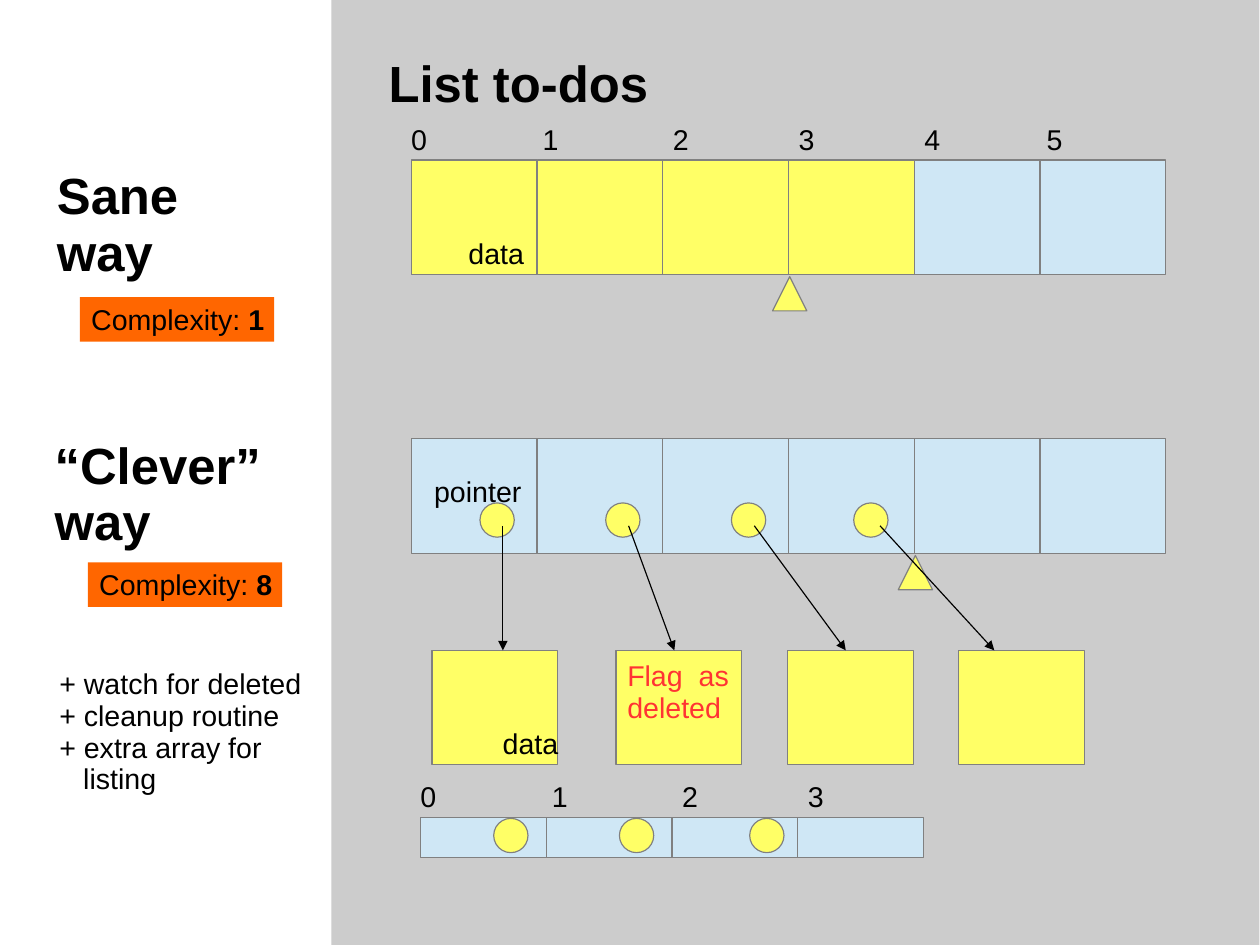
from lxml import etree
from pptx import Presentation
from pptx.dml.color import RGBColor
from pptx.enum import shapes, text
from pptx.oxml.ns import qn
from pptx.util import Emu, Inches, Pt

SLIDE_W, SLIDE_H = Emu(10080625), Emu(7559675)
YELLOW, BLUE, ORANGE, PANEL = "FFFF66", "CFE7F5", "FF6600", "CCCCCC"
OUTLINE, BLACK, RED = "808080", "000000", "FF3333"
CELL_W, CELL_H, DOT = 1.1, 1, 0.3
INDEX_X = [3.5, 4.65, 5.79, 6.89, 7.99, 9.06]
RECT = shapes.MSO_SHAPE.RECTANGLE
OVAL = shapes.MSO_SHAPE.OVAL
TRIANGLE = shapes.MSO_SHAPE.ISOSCELES_TRIANGLE


def rgb(value):
    return RGBColor.from_string(value)


def add_box(s, kind, x, y, w, h, fill, line=OUTLINE):
    sp = s.shapes.add_shape(kind, Inches(x), Inches(y), Inches(w), Inches(h))
    sp.shadow.inherit = False
    sp.fill.solid()
    sp.fill.fore_color.rgb = rgb(fill)
    if line:
        sp.line.color.rgb = rgb(line)
        sp.line.width = Pt(0.75)
    else:
        sp.line.fill.background()
    return sp


def set_text(sp, lines, size=18, bold=False, color=BLACK, wrap=False):
    tf = sp.text_frame
    tf.word_wrap = wrap
    tf.auto_size = text.MSO_AUTO_SIZE.NONE
    tf.vertical_anchor = text.MSO_ANCHOR.TOP
    tf.margin_left = tf.margin_right = Inches(0.1)
    tf.margin_top = Inches(0.08 if size > 18 else 0.07)
    tf.margin_bottom = Inches(0.05)
    tf.text = "\n".join(lines)
    for p in tf.paragraphs:
        p.alignment = text.PP_ALIGN.LEFT
        p.line_spacing = 0.93
        p.font.name = "Arial"
        p.font.size = Pt(size)
        p.font.bold = bold
        p.font.color.rgb = rgb(color)
    return tf


def add_label(s, x, y, w, h, lines, **style):
    sp = s.shapes.add_textbox(Inches(x), Inches(y), Inches(w), Inches(h))
    return set_text(sp, lines, **style)


def add_title(s, title, x, y, w, h):
    sp = s.shapes.title
    sp.left, sp.top, sp.width, sp.height = map(Inches, (x, y, w, h))
    set_text(sp, [title], size=32, bold=True)
    # Bring the title in front of the panel
    sp.element.getparent().append(sp.element)


def add_array(s, x, y, fills, h=CELL_H):
    for i, fill in enumerate(fills):
        add_box(s, RECT, x + i * CELL_W, y, CELL_W, h, fill)


def add_indexes(s, y, count, shift=0):
    for i, x in enumerate(INDEX_X[:count]):
        add_label(s, x + shift, y, 0.34, 0.38, [str(i)], wrap=True)


def add_dots(s, y, lefts):
    for x in lefts:
        add_box(s, OVAL, x, y, DOT, DOT, YELLOW)


def add_arrow(s, x1, y1, x2, y2):
    arrow = s.shapes.add_connector(shapes.MSO_CONNECTOR.STRAIGHT,
                                   Inches(x1), Inches(y1), Inches(x2), Inches(y2))
    arrow.line.color.rgb = rgb(BLACK)
    arrow.line.width = Pt(0.75)
    spPr = arrow.element.spPr
    etree.SubElement(spPr.find(qn("a:ln")), qn("a:tailEnd"), type="triangle")
    etree.SubElement(spPr, qn("a:effectLst"))


def add_complexity(s, x, y, score):
    sp = add_box(s, RECT, x, y, 1.7, 0.39, ORANGE, line=None)
    p = set_text(sp, ["Complexity: "]).paragraphs[0]
    r = p.add_run()
    r.text = score
    r.font.bold = True


def main():
    prs = Presentation()
    prs.slide_width, prs.slide_height = SLIDE_W, SLIDE_H
    s = prs.slides.add_slide(prs.slide_layouts[5])

    # Panel and title
    add_box(s, RECT, 2.9, 0, 8.12, 8.27, PANEL, line=None)
    add_title(s, "List to-dos", 3.3, 0.42, 2.6, 0.6)

    # Sane way: data stored in the array
    add_label(s, 0.4, 1.4, 1.26, 1.1, ["Sane", "way"], size=32, bold=True)
    add_complexity(s, 0.7, 2.6, "1")
    add_indexes(s, 1.02, 6)
    add_array(s, 3.6, 1.4, [YELLOW] * 4 + [BLUE] * 2)
    add_label(s, 4, 2.02, 0.68, 0.38, ["data"])
    add_box(s, TRIANGLE, 6.76, 2.42, DOT, DOT, YELLOW)

    # Clever way: array of pointers to data
    add_label(s, 0.38, 3.76, 2, 1.1, ["“Clever”", "way"], size=32, bold=True)
    add_complexity(s, 0.77, 4.92, "8")
    add_box(s, TRIANGLE, 7.86, 4.86, DOT, DOT, YELLOW)
    add_array(s, 3.6, 3.84, [BLUE] * 6)
    add_dots(s, 4.4, [4.2, 5.3, 6.4, 7.47])
    add_label(s, 3.7, 4.1, 0.96, 0.38, ["pointer"])
    for x in (3.78, 5.39, 6.89, 8.39):
        add_box(s, RECT, x, 5.69, CELL_W, CELL_H, YELLOW)
    for start, end in ((4.4, 4.4), (5.5, 5.9), (6.6, 7.4), (7.7, 8.7)):
        add_arrow(s, start, 4.6, end, 5.69)
    add_label(s, 4.3, 6.31, 0.68, 0.38, ["data"])
    add_label(s, 5.39, 5.71, 1.1, 0.94, ["Flag  as deleted"], color=RED, wrap=True)

    # Extra costs, with a hanging indent
    costs = add_label(s, 0.42, 5.78, 2.31, 1.22,
                      ["+ watch for deleted", "+ cleanup routine",
                       "+ extra array for\vlisting"])
    for p in costs.paragraphs:
        pPr = p._p.get_or_add_pPr()
        pPr.set("marL", str(Inches(0.21)))
        pPr.set("indent", str(-Inches(0.21)))

    # Extra array for listing
    add_indexes(s, 6.77, 4, shift=0.08)
    add_array(s, 3.68, 7.15, [BLUE] * 4, h=0.35)
    add_dots(s, 7.16, [4.32, 5.42, 6.56])

    prs.save("out.pptx")


if __name__ == "__main__":
    main()
